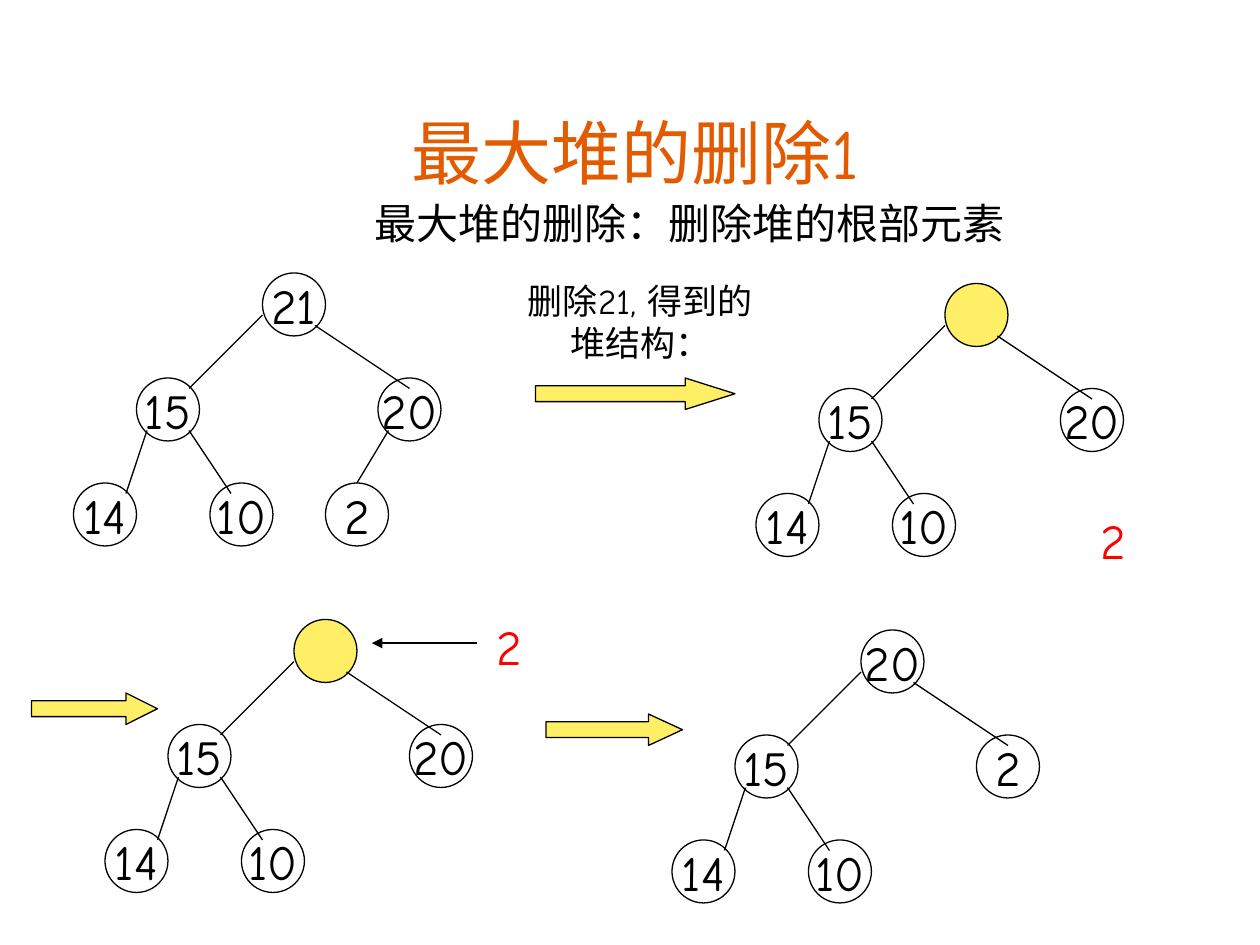
from lxml import etree
from pptx import Presentation
from pptx.dml.color import RGBColor
from pptx.enum.shapes import MSO_CONNECTOR, MSO_SHAPE
from pptx.enum.text import MSO_ANCHOR, PP_ALIGN
from pptx.oxml.ns import qn
from pptx.util import Pt

STRAIGHT = MSO_CONNECTOR.STRAIGHT
CIRCLE = MSO_SHAPE.FLOWCHART_CONNECTOR
RIGHT_ARROW = MSO_SHAPE.RIGHT_ARROW
CENTER = PP_ALIGN.CENTER
TOP, MIDDLE, BOTTOM = MSO_ANCHOR.TOP, MSO_ANCHOR.MIDDLE, MSO_ANCHOR.BOTTOM

BLACK = RGBColor(0x00, 0x00, 0x00)
RED = RGBColor(0xFF, 0x00, 0x00)
ORANGE = RGBColor(0xE2, 0x5B, 0x00)
YELLOW = RGBColor(0xFF, 0xEF, 0x66)
FONT = "Comic Neue"
NODE_SIZE = 36

# Node positions and edges, measured from the root's top left corner
NODE_OFFSETS = [(0, 0), (-72, 60), (-108, 120), (-30, 120), (66, 60), (36, 120)]
# Each edge leads to the node at the same place in NODE_OFFSETS[1:]
EDGES = [
    (0, 24, -42, 66),
    (-66, 90, -78, 126),
    (-42, 90, -18, 126),
    (30, 30, 84, 66),
    (72, 90, 54, 120),
]
# Root position and node values; an empty value is the removed root
HEAPS = [
    (150, 156, ["21", "15", "14", "10", "20", "2"]),
    (540, 162, ["", "15", "14", "10", "20"]),
    (168, 354, ["", "15", "14", "10", "20"]),
    (492, 360, ["20", "15", "14", "10", "2"]),
]
# Left, top, width, height, text, size, colour, anchor
TEXTS = [
    (54, 54, 618, 60, "最大堆的删除1", 40, ORANGE, BOTTOM),
    (139, 109.5, 510, 36, "最大堆的删除：删除堆的根部元素", 24, BLACK, TOP),
    (294, 156, 144, 55.5, "删除21, 得到的堆结构：", 20, BLACK, TOP),
    (600, 288, 72, 41, "2", 28, RED, TOP),
    (273, 349, 36, 41, "2", 28, RED, TOP),
]
# Left, top, width, head length relative to height
BLOCK_ARROWS = [(306, 216, 114, 1.58), (18, 396, 72, 1), (312, 408, 78, 1.08)]


def write(shape, text, size, color, anchor, wrap):
    frame = shape.text_frame
    frame.word_wrap = wrap
    frame.vertical_anchor = anchor
    para = frame.paragraphs[0]
    para.alignment = CENTER
    span = para.add_run()
    span.text = text
    span.font.name = FONT
    span.font.size = Pt(size)
    span.font.color.rgb = color


def add_line(shapes, x1, y1, x2, y2):
    line = shapes.add_connector(STRAIGHT, Pt(x1), Pt(y1), Pt(x2), Pt(y2))
    line.line.color.rgb = BLACK
    line.line.width = Pt(0.75)
    etree.SubElement(line._element.spPr, qn("a:effectLst"))
    return line


deck = Presentation()
deck.slide_width, deck.slide_height = Pt(720), Pt(540)
page = deck.slides.add_slide(deck.slide_layouts[6])

for left, top, width, height, text, size, color, anchor in TEXTS:
    box = page.shapes.add_textbox(Pt(left), Pt(top), Pt(width), Pt(height))
    write(box, text, size, color, anchor, True)

for root_x, root_y, values in HEAPS:
    heap = page.shapes.add_group_shape().shapes
    for (dx, dy), value in zip(NODE_OFFSETS, values):
        node = heap.add_shape(CIRCLE, Pt(root_x + dx), Pt(root_y + dy),
                              Pt(NODE_SIZE), Pt(NODE_SIZE))
        node.shadow.inherit = False
        node.line.color.rgb = BLACK
        node.line.width = Pt(0.75)
        if value:
            node.fill.background()
            write(node, value, 28, BLACK, MIDDLE, False)
        else:
            node.fill.solid()
            node.fill.fore_color.rgb = YELLOW
    for x1, y1, x2, y2 in EDGES[:len(values) - 1]:
        add_line(heap, root_x + x1, root_y + y1, root_x + x2, root_y + y2)

for left, top, width, head_length in BLOCK_ARROWS:
    arrow = page.shapes.add_shape(RIGHT_ARROW, Pt(left), Pt(top), Pt(width), Pt(18))
    arrow.adjustments[0] = 0.5
    arrow.adjustments[1] = head_length
    arrow.shadow.inherit = False
    arrow.fill.solid()
    arrow.fill.fore_color.rgb = YELLOW
    arrow.line.color.rgb = BLACK
    arrow.line.width = Pt(0.75)

insert_arrow = add_line(page.shapes, 272.5, 367.5, 212.5, 367.5)
etree.SubElement(insert_arrow.line._get_or_add_ln(), qn("a:tailEnd"), type="triangle")

deck.save("out.pptx")
